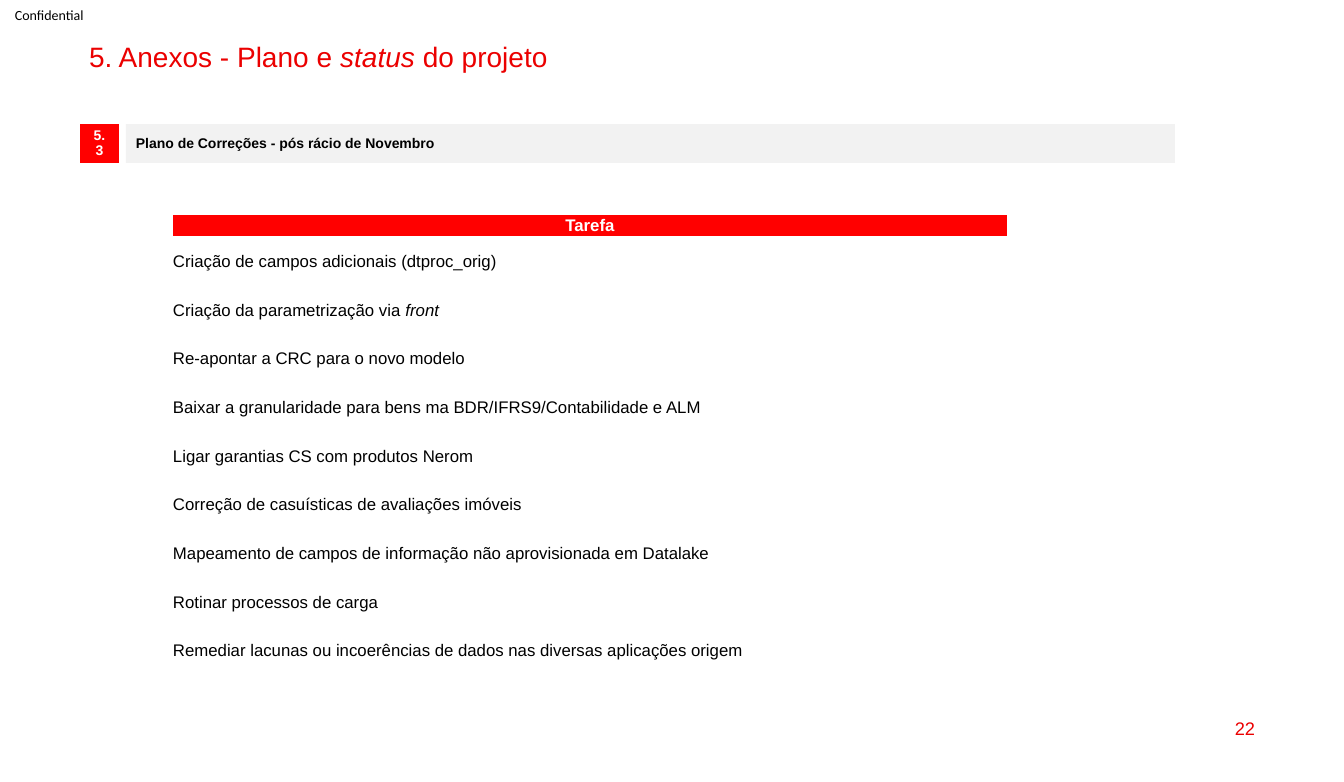
from pptx import Presentation
from pptx.dml.color import RGBColor
from pptx.enum.shapes import MSO_SHAPE as Shape
from pptx.enum.text import MSO_ANCHOR as Anchor, MSO_AUTO_SIZE as AutoSize, PP_ALIGN as Align
from pptx.oxml.ns import qn
from pptx.util import Pt

PX = 914400 / 100.8
RED = RGBColor(0xFF, 0x00, 0x00)
DARK_RED = RGBColor(0xEB, 0x00, 0x00)
GREY = RGBColor(0xF2, 0xF2, 0xF2)
BLACK = RGBColor(0x00, 0x00, 0x00)
WHITE = RGBColor(0xFF, 0xFF, 0xFF)


def px(length):
    return round(length * PX)


def write(frame, runs, size, color, bold=False, align=Align.LEFT, spacing=1.0, font="Arial"):
    """Write (text, italic) runs into the first paragraph of a frame."""
    paragraph = frame.paragraphs[0]
    paragraph.alignment = align
    paragraph.line_spacing = spacing
    paragraph.space_before = Pt(0)
    for text, italic in runs:
        run = paragraph.add_run()
        run.text = text
        run.font.name = font
        run.font.size = Pt(size)
        run.font.bold = bold
        run.font.italic = italic
        run.font.color.rgb = color


presentation = Presentation()
presentation.slide_width, presentation.slide_height = px(1344), px(782)
slide = presentation.slides.add_slide(presentation.slide_layouts[1])
section_number, heading = slide.placeholders

# Confidentiality label
label = slide.shapes.add_textbox(0, 0, px(100), px(29))
frame = label.text_frame
frame.word_wrap = True
frame.vertical_anchor = Anchor.MIDDLE
frame.margin_left = px(15)
frame.margin_top = frame.margin_right = frame.margin_bottom = 0
write(frame, [("Confidential", False)], 10, BLACK, font="Calibri")

# Slide heading
heading.left, heading.top, heading.width, heading.height = px(79), px(38), px(1186), px(34)
frame = heading.text_frame
frame.auto_size = AutoSize.NONE
frame.vertical_anchor = Anchor.TOP
properties = frame.paragraphs[0]._p.get_or_add_pPr()
properties.set("marL", "0")
properties.set("indent", "0")
properties.append(properties.makeelement(qn("a:buNone"), {}))
write(frame, [("5. Anexos - Plano e ", False), ("status", True), (" do projeto", False)],
      20, DARK_RED, spacing=0.9)

# Section bar: number and name
section_number.left, section_number.top = px(80), px(124)
section_number.width = section_number.height = px(39)
section_number.fill.solid()
section_number.fill.fore_color.rgb = RED
frame = section_number.text_frame
frame.auto_size = AutoSize.NONE
frame.vertical_anchor = Anchor.MIDDLE
write(frame, [("5.3", False)], 10, WHITE, bold=True, align=Align.CENTER, spacing=0.9)

section_name = slide.shapes.add_shape(Shape.RECTANGLE, px(126), px(124), px(1049), px(39))
section_name.shadow.inherit = False
section_name.fill.solid()
section_name.fill.fore_color.rgb = GREY
section_name.line.fill.background()
section_name.text_frame.vertical_anchor = Anchor.MIDDLE
write(section_name.text_frame, [("Plano de Correções - pós rácio de Novembro", False)],
      10, BLACK, bold=True, spacing=0.9)

# Task table
tasks = [
    [("Criação de campos adicionais (dtproc_orig)", False)],
    [("Criação da parametrização via ", False), ("front", True)],
    [("Re-apontar a CRC para o novo modelo", False)],
    [("Baixar a granularidade para bens ma BDR/IFRS9/Contabilidade e ALM", False)],
    [("Ligar garantias CS com produtos Nerom", False)],
    [("Correção de casuísticas de avaliações imóveis", False)],
    [("Mapeamento de campos de informação não aprovisionada em Datalake", False)],
    [("Rotinar processos de carga", False)],
    [("Remediar lacunas ou incoerências de dados nas diversas aplicações origem", False)],
]
HEADER_HEIGHT, TASKS_HEIGHT = 23, 438
table = slide.shapes.add_table(len(tasks) + 1, 1, px(172), px(214), px(836),
                               px(HEADER_HEIGHT + TASKS_HEIGHT)).table
table.first_row = table.horz_banding = False
for index, runs in enumerate([[("Tarefa", False)]] + tasks):
    is_header = index == 0
    table.rows[index].height = px(HEADER_HEIGHT if is_header else TASKS_HEIGHT / len(tasks))
    cell = table.cell(index, 0)
    cell.vertical_anchor = Anchor.MIDDLE
    cell.margin_left = cell.margin_top = cell.margin_right = px(1)
    cell.margin_bottom = 0
    if is_header:
        cell.fill.solid()
        cell.fill.fore_color.rgb = RED
    else:
        cell.fill.background()
    write(cell.text_frame, runs, 12, WHITE if is_header else BLACK, bold=is_header,
          align=Align.CENTER if is_header else Align.LEFT)

# Page number
page_number = slide.shapes.add_textbox(px(963), px(708), px(302), px(41))
page_number.text_frame.word_wrap = True
page_number.text_frame.vertical_anchor = Anchor.MIDDLE
write(page_number.text_frame, [("22", False)], 13, DARK_RED, align=Align.RIGHT)

presentation.save("out.pptx")
